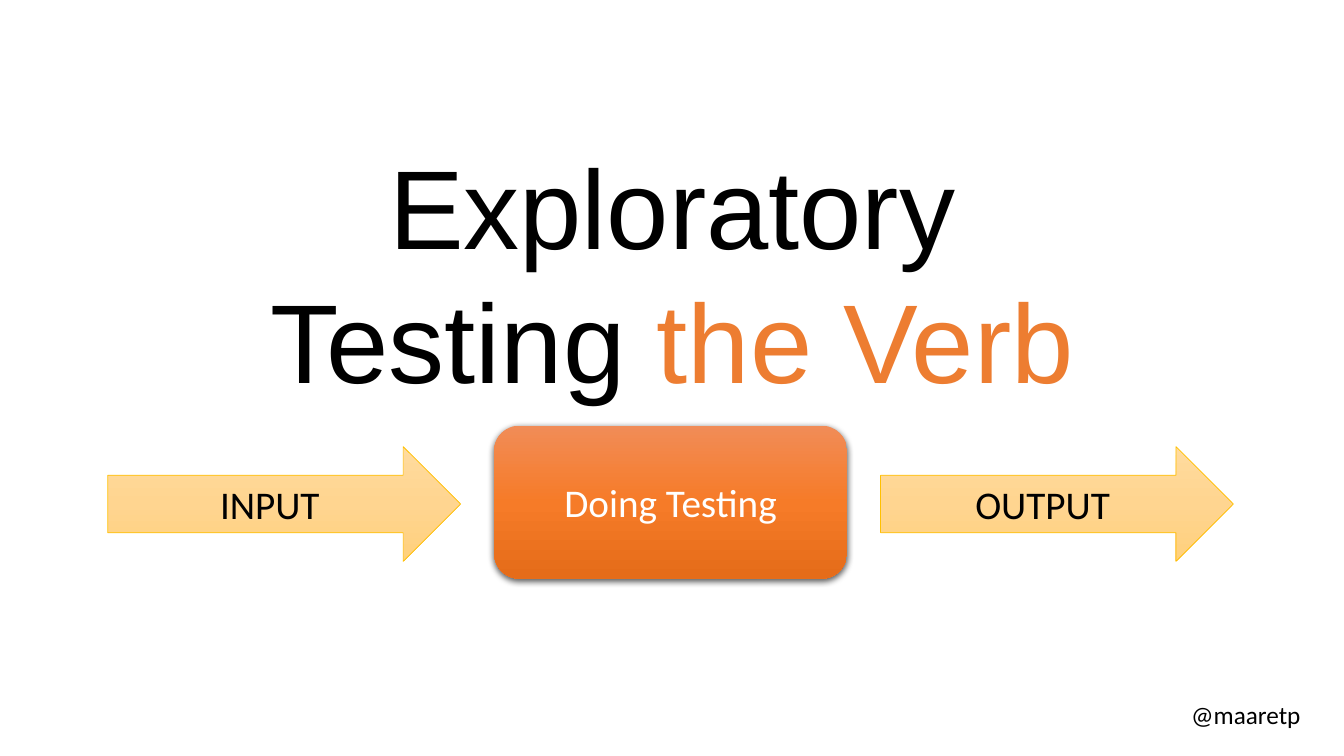
"""Build the slide that shows exploratory testing as a verb between input and output."""
import copy
from dataclasses import dataclass

from lxml import etree
from pptx import Presentation
from pptx import util as u
from pptx.dml.color import RGBColor
from pptx.enum import shapes, text
from pptx.oxml import ns
from pptx.shapes.autoshape import Shape
from pptx.slide import Slide

BLACK = RGBColor(0x00, 0x00, 0x00)
WHITE = RGBColor(0xFF, 0xFF, 0xFF)
ACCENT = RGBColor(0xED, 0x7D, 0x31)
GOLD = RGBColor(0xFF, 0xC0, 0x00)
ORANGES = (RGBColor(0xF1, 0x8C, 0x57), RGBColor(0xF6, 0x7B, 0x28), RGBColor(0xE5, 0x6C, 0x19))
YELLOWS = (RGBColor(0xFF, 0xDB, 0x9E), RGBColor(0xFF, 0xD5, 0x90), RGBColor(0xFF, 0xD0, 0x7C))

FLOW_LEFT = 77
FLOW_PITCH = 276
STEP_WIDTH = 252


@dataclass(frozen=True)
class Step:
    label: str
    kind: shapes.MSO_SHAPE
    top: float
    height: float
    gradient: tuple[RGBColor, ...]
    text_color: RGBColor
    line_color: RGBColor | None = None
    shadow: bool = False


def arrow(label: str) -> Step:
    return Step(label, shapes.MSO_SHAPE.RIGHT_ARROW, 319, 82, YELLOWS, BLACK, line_color=GOLD)


STEPS = (
    arrow("INPUT"),
    Step("Doing Testing", shapes.MSO_SHAPE.ROUNDED_RECTANGLE, 304, 109.4, ORANGES, WHITE, shadow=True),
    arrow("OUTPUT"),
)


def add_run(paragraph, wording: str, size: float, color: RGBColor, font: str = "Calibri") -> None:
    run = paragraph.add_run()
    run.text = wording
    run.font.size = u.Pt(size)
    run.font.name = font
    run.font.color.rgb = color


def fill_gradient(shape: Shape, colors: tuple[RGBColor, ...]) -> None:
    shape.fill.gradient()
    shape.fill.gradient_angle = 270
    stop_list = shape.element.spPr.find(ns.qn("a:gradFill")).find(ns.qn("a:gsLst"))
    while len(stop_list) < len(colors):
        stop_list.append(copy.deepcopy(stop_list[0]))
    for index, (stop, color) in enumerate(zip(shape.fill.gradient_stops, colors)):
        stop.position = index / (len(colors) - 1)
        stop.color.rgb = color


def add_shadow(shape: Shape) -> None:
    effects = shape.element.spPr.find(ns.qn("a:effectLst"))
    shadow = etree.SubElement(
        effects, ns.qn("a:outerShdw"), blurRad=str(u.Pt(4.5)), dist=str(u.Pt(1.5)),
        dir="5400000", algn="ctr", rotWithShape="0",
    )
    color = etree.SubElement(shadow, ns.qn("a:srgbClr"), val=str(BLACK))
    etree.SubElement(color, ns.qn("a:alpha"), val="63000")


def add_step(slide: Slide, step: Step, left: float) -> None:
    shape = slide.shapes.add_shape(
        step.kind, u.Pt(left), u.Pt(step.top), u.Pt(STEP_WIDTH), u.Pt(step.height)
    )
    fill_gradient(shape, step.gradient)
    if step.line_color is None:
        shape.line.fill.background()
    else:
        shape.line.color.rgb = step.line_color
        shape.line.width = u.Pt(0.5)
    shape.shadow.inherit = False
    if step.shadow:
        add_shadow(shape)
    shape.text_frame.vertical_anchor = text.MSO_ANCHOR.MIDDLE
    paragraph = shape.text_frame.paragraphs[0]
    paragraph.alignment = text.PP_ALIGN.CENTER
    add_run(paragraph, step.label, 28, step.text_color)


def format_title(slide: Slide) -> None:
    title = slide.shapes.title
    title.left, title.top, title.width, title.height = map(u.Pt, (175, 91.4, 610.6, 200.9))
    frame = title.text_frame
    frame.word_wrap = True
    frame.auto_size = text.MSO_AUTO_SIZE.NONE
    frame.vertical_anchor = text.MSO_ANCHOR.TOP
    frame.margin_top = u.Pt(7.4)
    paragraph = frame.paragraphs[0]
    paragraph.alignment = text.PP_ALIGN.CENTER
    paragraph.line_spacing = u.Pt(95.7)
    add_run(paragraph, "Exploratory Testing ", 80, BLACK, "Arial")
    add_run(paragraph, "the Verb", 80, ACCENT, "Arial")


def add_handle(slide: Slide) -> None:
    handle = slide.shapes.add_textbox(u.Pt(843.8), u.Pt(496), u.Pt(98), u.Pt(29))
    handle.text_frame.word_wrap = False
    add_run(handle.text_frame.paragraphs[0], "@maaretp", 18, BLACK)


def main() -> None:
    presentation = Presentation()
    presentation.slide_width, presentation.slide_height = u.Pt(960), u.Pt(540)
    slide = presentation.slides.add_slide(presentation.slide_layouts.get_by_name("Title Only"))
    format_title(slide)
    add_handle(slide)
    for index, step in enumerate(STEPS):
        add_step(slide, step, FLOW_LEFT + index * FLOW_PITCH)
    presentation.save("out.pptx")


if __name__ == "__main__":
    main()
